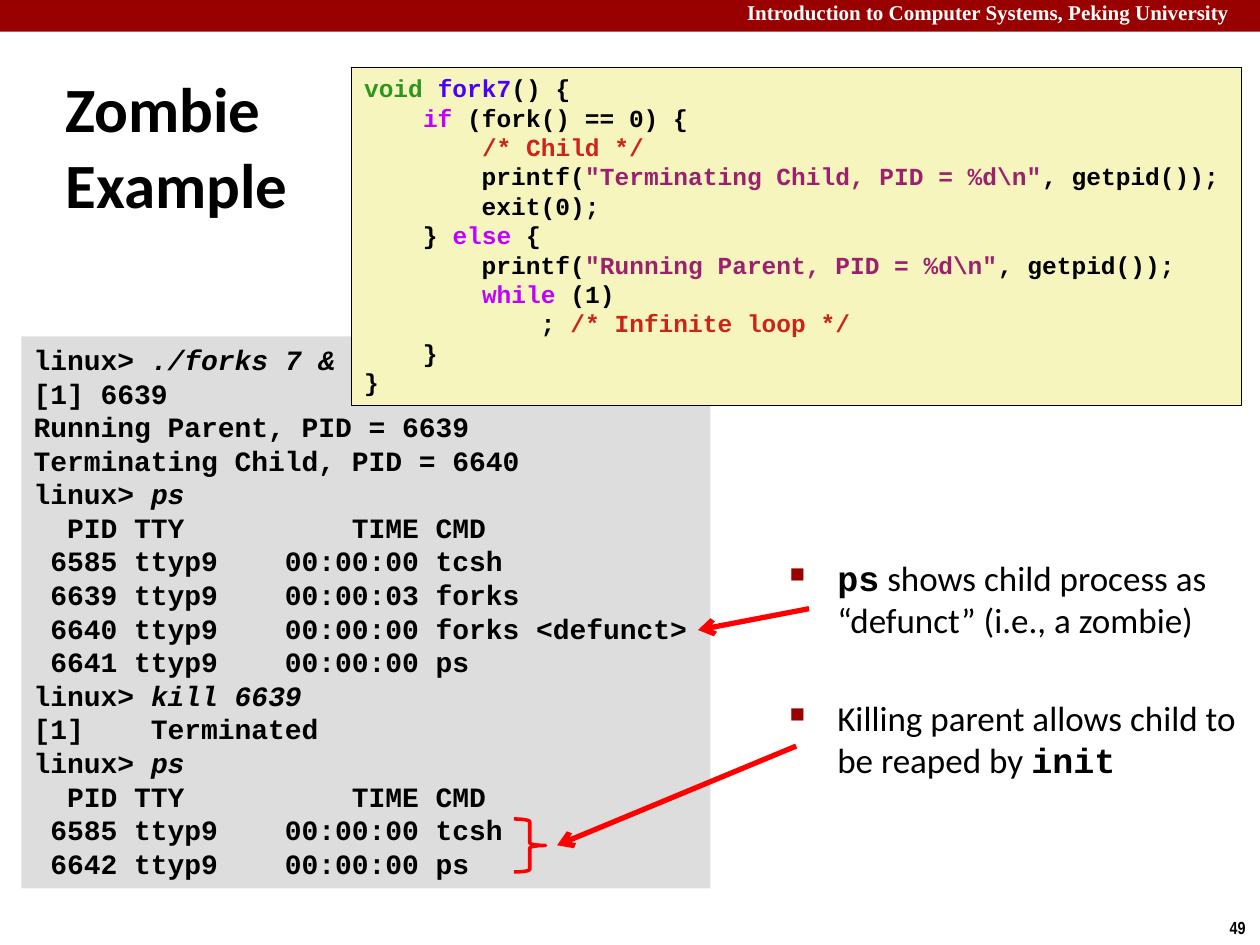
from lxml.etree import SubElement
from pptx import Presentation
from pptx.dml.color import RGBColor
from pptx.enum.shapes import MSO_CONNECTOR, MSO_SHAPE
from pptx.enum.text import MSO_ANCHOR
from pptx.oxml.ns import qn
from pptx.util import Cm, Pt

COLOURS = {
    "crimson": "990000", "white": "FFFFFF", "black": "000000",
    "terminal": "DDDDDD", "code": "F6F5BD", "red": "FF0000",
    "type": "2D961E", "function": "4A00FF", "keyword": "C200FF",
    "comment": "CB2418", "string": "9D206F",
}
MONO, SANS = "Courier New", "Calibri"

# Terminal lines: (prompt or output, typed command)
PROMPT = "linux> "
PS_HEADER = ("  PID TTY          TIME CMD", "")
TCSH = (" 6585 ttyp9    00:00:00 tcsh", "")
TERMINAL = [
    (PROMPT, "./forks 7 &"),
    ("[1] 6639", ""),
    ("Running Parent, PID = 6639", ""),
    ("Terminating Child, PID = 6640", ""),
    (PROMPT, "ps"),
    PS_HEADER,
    TCSH,
    (" 6639 ttyp9    00:00:03 forks", ""),
    (" 6640 ttyp9    00:00:00 forks <defunct>", ""),
    (" 6641 ttyp9    00:00:00 ps", ""),
    (PROMPT, "kill 6639"),
    ("[1]    Terminated", ""),
    (PROMPT, "ps"),
    PS_HEADER,
    TCSH,
    (" 6642 ttyp9    00:00:00 ps", ""),
]

# Code lines: spans of (text, colour)
CODE = [
    [("void ", "type"), ("fork7", "function"), ("() {", "black")],
    [("    ", "black"), ("if", "keyword"), (" (fork() == 0) {", "black")],
    [("        ", "black"), ("/* Child */", "comment")],
    [("        printf(", "black"),
     ('"Terminating Child, PID = %d\\n"', "string"), (", getpid());", "black")],
    [("        exit(0);", "black")],
    [("    } ", "black"), ("else", "keyword"), (" {", "black")],
    [("        printf(", "black"),
     ('"Running Parent, PID = %d\\n"', "string"), (", getpid());", "black")],
    [("        ", "black"), ("while", "keyword"), (" (1)", "black")],
    [("            ; ", "black"), ("/* Infinite loop */", "comment")],
    [("    }", "black")],
    [("}", "black")],
]

# Bullets: (space before in points, spans of (text, is code))
BULLETS = [
    (4, [("ps", True),
         (" shows child process as \u201cdefunct\u201d (i.e., a zombie)", False)]),
    (32, [("Killing parent allows child to be reaped by ", False),
          ("init", True)]),
]


def rgb(name):
    """Return the named colour."""
    return RGBColor.from_string(COLOURS[name])


def add_span(para, text, font, size, colour="black", bold=True, italic=False):
    """Append one formatted run to a paragraph."""
    span = para.add_run()
    span.text = text
    span.font.name = font
    span.font.size = Pt(size)
    span.font.bold = bold
    span.font.italic = italic
    span.font.color.rgb = rgb(colour)


def add_text(page, left, top, width, height, wrap=True):
    """Add an empty text box and return its text frame."""
    box = page.shapes.add_textbox(Cm(left), Cm(top), Cm(width), Cm(height))
    box.text_frame.word_wrap = wrap
    return box.text_frame


def add_panel(page, left, top, width, height, fill=None, line=None,
              line_width=1, kind=MSO_SHAPE.RECTANGLE):
    """Add a preset shape with an optional fill and outline."""
    panel = page.shapes.add_shape(kind, Cm(left), Cm(top), Cm(width), Cm(height))
    panel.shadow.inherit = False
    if fill:
        panel.fill.solid()
        panel.fill.fore_color.rgb = rgb(fill)
    else:
        panel.fill.background()
    if line:
        panel.line.color.rgb = rgb(line)
        panel.line.width = Pt(line_width)
    else:
        panel.line.fill.background()
    return panel


def add_listing(panel, lines, size):
    """Fill a panel with monospaced lines of (text, colour, italic) spans."""
    frame = panel.text_frame
    frame.word_wrap = False
    frame.vertical_anchor = MSO_ANCHOR.TOP
    for index, spans in enumerate(lines):
        para = frame.add_paragraph() if index else frame.paragraphs[0]
        para.alignment = 1
        para.line_spacing = Pt(size * 1.2)
        for text, colour, italic in spans:
            add_span(para, text, MONO, size, colour, italic=italic)


def add_bullet(para, space, spans):
    """Write one square-bulleted paragraph."""
    para.space_before = Pt(space)
    properties = para._p.get_or_add_pPr()
    properties.set("marL", str(Cm(0.96)))
    properties.set("indent", str(-Cm(0.96)))
    colour = SubElement(properties, qn("a:buClr"))
    SubElement(colour, qn("a:srgbClr"), val=COLOURS["crimson"])
    SubElement(properties, qn("a:buSzPct"), val="60000")
    SubElement(properties, qn("a:buChar"), char="\u25a0")
    for text, is_code in spans:
        add_span(para, text, MONO if is_code else SANS, 20, bold=is_code)


def add_arrow(page, start, end):
    """Draw a red arrow between two points."""
    arrow = page.shapes.add_connector(
        MSO_CONNECTOR.STRAIGHT, *(Cm(value) for value in start + end))
    arrow.line.color.rgb = rgb("red")
    arrow.line.width = Pt(3)
    SubElement(arrow.line._get_or_add_ln(), qn("a:tailEnd"), type="arrow")
    SubElement(arrow._element.spPr, qn("a:effectLst"))


def main():
    """Build the slide and save it."""
    deck = Presentation()
    deck.slide_width, deck.slide_height = Cm(25.4), Cm(19.05)
    page = deck.slides.add_slide(deck.slide_layouts[6])

    add_panel(page, 0, 0, 25.4, 0.64, "crimson")
    header = add_text(page, 14.81, -0.13, 10.59, 0.76)
    add_span(header.paragraphs[0],
             "Introduction to Computer Systems, Peking University",
             "Times New Roman", 12, "white")
    number = add_text(page, 24.54, 18.36, 0.86, 0.69, wrap=False)
    add_span(number.paragraphs[0], "49", "Arial Narrow", 10)

    title = add_text(page, 1.07, 1.4, 5.56, 3.05)
    title.vertical_anchor = MSO_ANCHOR.MIDDLE
    heading = title.paragraphs[0]
    add_span(heading, "Zombie", SANS, 36)
    heading.add_line_break()
    add_span(heading, "Example", SANS, 36)

    terminal = add_panel(page, 0.43, 6.78, 13.89, 11.13, "terminal")
    add_listing(terminal, [
        [(text, "black", italic)
         for text, italic in ((output, False), (command, True)) if text]
        for output, command in TERMINAL], 16)

    notes = add_text(page, 15.67, 11.1, 9.73, 7.32)
    for index, (space, spans) in enumerate(BULLETS):
        para = notes.add_paragraph() if index else notes.paragraphs[0]
        add_bullet(para, space, spans)

    add_arrow(page, (16.31, 12.27), (14.07, 12.7))
    add_arrow(page, (16.05, 15.04), (11.23, 17.04))
    add_panel(page, 10.36, 16.51, 0.64, 1.07, line="red", line_width=2,
              kind=MSO_SHAPE.RIGHT_BRACE)

    code = add_panel(page, 7.09, 1.35, 17.93, 6.83, "code", "black", 0.25)
    add_listing(code, [[(text, colour, False) for text, colour in spans]
                       for spans in CODE], 14)

    deck.save("out.pptx")


main()
